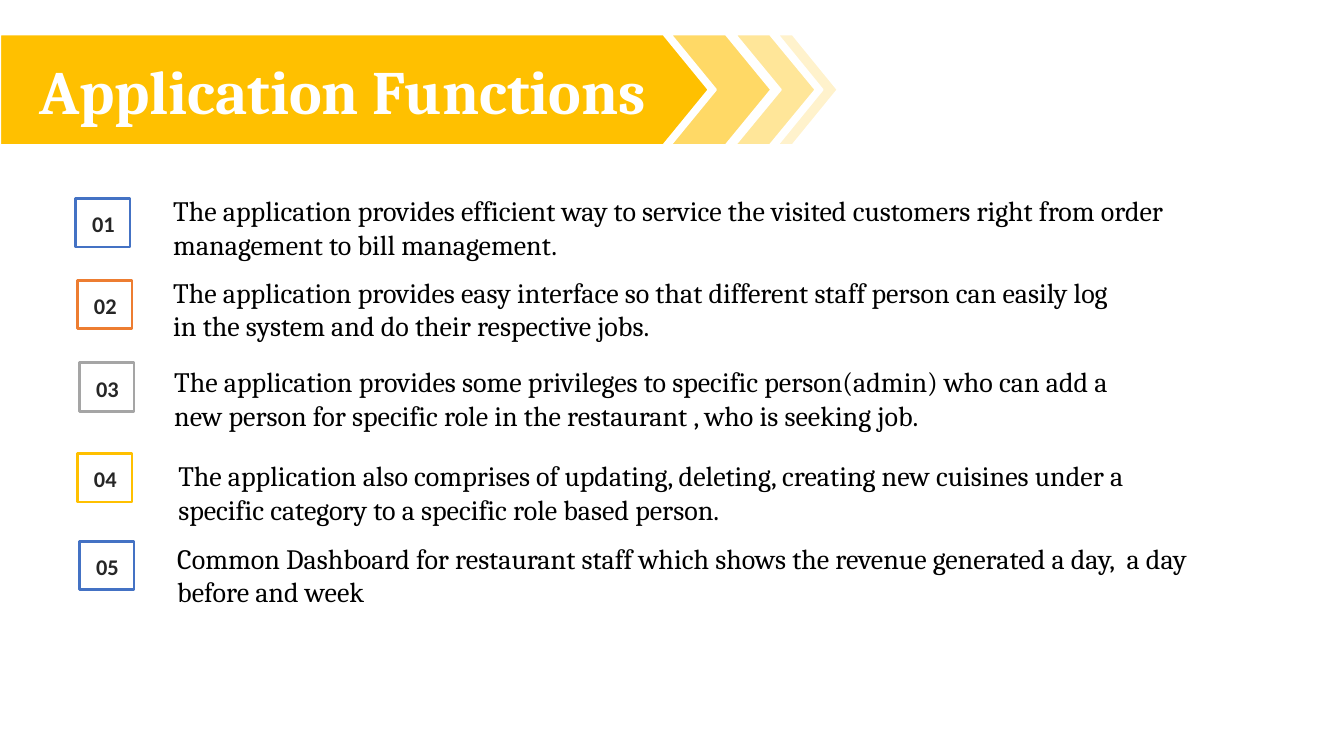
from dataclasses import dataclass

from pptx import Presentation
from pptx import util as u
from pptx.dml.color import RGBColor
from pptx.enum import shapes, text


@dataclass(frozen=True)
class Theme:
    """Colours, fonts and type sizes of the slide."""
    white: str = "FFFFFF"
    black: str = "000000"
    dark: str = "262626"
    gold: str = "FFC000"
    tints: tuple = ("FFD966", "FFE699", "FFF2CC")
    edges: tuple = ("4472C4", "ED7D31", "A5A5A5", "FFC000", "4472C4")
    serif: str = "Cambria"
    sans: str = "Calibri"
    head: int = 44
    body: int = 20
    mark: int = 16


T = Theme()
KIND = shapes.MSO_SHAPE
ALIGN = text.PP_ALIGN
TITLE = "Application Functions"
ITEMS = [
    (0.75, 1.97, 1.62, 1.87, 10.86,
     "The application provides efficient way to service the visited "
     "customers right from order management to bill management."),
    (0.77, 2.78, 1.62, 2.68, 9.7,
     "The application provides easy interface so that different staff "
     "person can easily log in the system and do their respective jobs."),
    (0.79, 3.6, 1.63, 3.57, 9.7,
     "The application provides some privileges to specific person(admin) "
     "who can add a new person for specific role in the restaurant , "
     "who is seeking job."),
    (0.77, 4.5, 1.67, 4.5, 9.7,
     "The application also comprises of updating, deleting, creating new "
     "cuisines under a specific category to a specific role based person."),
    (0.79, 5.37, 1.66, 5.32, 10.86,
     "Common Dashboard for restaurant staff which shows the revenue "
     "generated a day,  a day before and week"),
]


def assign(obj, values):
    """Set every attribute named in a dict."""
    for name, value in values.items():
        setattr(obj, name, value)


def place(box):
    """Turn four numbers into lengths in inches."""
    return [u.Inches(n) for n in box]


def draw(slide, kind, box, fill, edge, width, adjust=None):
    """Add a flat filled and outlined shape."""
    shape = slide.shapes.add_shape(kind, *place(box))
    shape.shadow.inherit = False
    shape.fill.solid()
    shape.fill.fore_color.rgb = RGBColor.from_string(fill)
    shape.line.color.rgb = RGBColor.from_string(edge)
    shape.line.width = u.Pt(width)
    if adjust is not None:
        shape.adjustments[0] = adjust


def write(shape, words, face, size, color, bold=False, align=ALIGN.LEFT,
          frame=None):
    """Fill a shape with one formatted paragraph."""
    body = shape.text_frame
    assign(body, {"word_wrap": True, "auto_size": text.MSO_AUTO_SIZE.NONE,
                  **(frame or {})})
    para = body.paragraphs[0]
    para.alignment = align
    run = para.add_run()
    run.text = words
    assign(run.font, {"name": face, "size": u.Pt(size), "bold": bold})
    run.font.color.rgb = RGBColor.from_string(color)


def banner(slide):
    """Build the arrow banner and put the title on it."""
    top, high = 0.34, 1.1
    mid, pale, soft = T.tints
    for kind, left, wide, adjust, fill in (
        (KIND.CHEVRON, 7.29, 0.8, 0.567, pale),
        (KIND.PENTAGON, 0, 7.03, 0.409, T.gold),
        (KIND.CHEVRON, 7.71, 0.6, 0.747, soft),
        (KIND.CHEVRON, 6.65, 1, 0.451, mid),
    ):
        draw(slide, kind, (left, top, wide, high), fill, T.white, 1.5, adjust)
    title = slide.shapes.title
    slide.shapes._spTree.append(title._element)
    sides = ("left", "top", "width", "height")
    assign(title, dict(zip(sides, place((0, top, 6.8, high)))))
    write(title, TITLE, T.serif, T.head, T.white, True, ALIGN.CENTER,
          {"vertical_anchor": text.MSO_ANCHOR.MIDDLE})


def badge(slide, left, top, label, edge):
    """Add a numbered square."""
    draw(slide, KIND.RECTANGLE, (left, top, 0.54, 0.48), T.white, edge, 2)
    box = slide.shapes.add_textbox(
        *place((left + 0.04, top + 0.07, 0.47, 0.37)))
    write(box, label, T.sans, T.mark, T.dark, True, ALIGN.CENTER,
          {"margin_left": u.Inches(0.1), "margin_right": u.Inches(0.1)})


def note(slide, left, top, width, words):
    """Add the sentence beside a badge."""
    box = slide.shapes.add_textbox(*place((left, top, width, 0.77)))
    write(box, words, T.serif, T.body, T.black)


def main():
    """Build and save the slide."""
    deck = Presentation()
    assign(deck, {"slide_width": u.Inches(13.33),
                  "slide_height": u.Inches(7.5)})
    slide = deck.slides.add_slide(deck.slide_layouts[5])
    banner(slide)
    for num, (item, edge) in enumerate(zip(ITEMS, T.edges), 1):
        badge(slide, *item[:2], f"{num:02}", edge)
        note(slide, *item[2:])
    deck.save("out.pptx")


if __name__ == "__main__":
    main()
